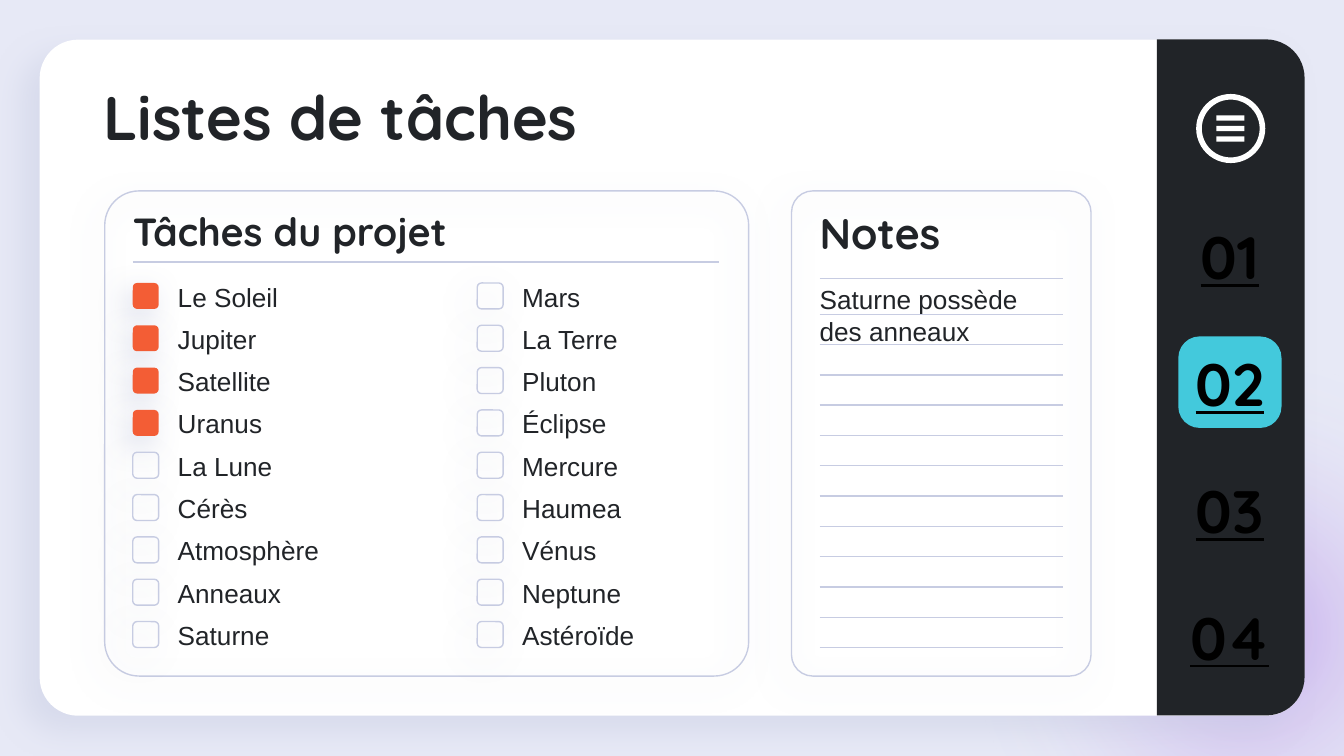
from dataclasses import dataclass
from pptx import Presentation
from pptx.dml.color import RGBColor
from pptx.enum.shapes import MSO_CONNECTOR, MSO_SHAPE
from pptx.enum.text import MSO_ANCHOR, MSO_AUTO_SIZE, PP_ALIGN
from pptx.oxml import parse_xml
from pptx.oxml.ns import nsdecls, qn
from pptx.util import Cm, Pt

TITLE = "Listes de tâches"
TASKS_HEADING = "Tâches du projet"
TASK_COLUMNS = [
    dict(x=2.51, width=5.36, done=4, tasks=[
        "Le Soleil", "Jupiter", "Satellite", "Uranus", "La Lune",
        "Cérès", "Atmosphère", "Anneaux", "Saturne"]),
    dict(x=9.02, width=3.99, done=0, tasks=[
        "Mars", "La Terre", "Pluton", "Éclipse", "Mercure",
        "Haumea", "Vénus", "Neptune", "Astéroïde"]),
]
MEMO_HEADING = "Notes"
MEMO = "Saturne possède des anneaux"
NAV = ["01", "02", "03", "04"]
CURRENT = "02"


@dataclass(frozen=True)
class Theme:
    page: str = "E7E9F6"
    card: str = "FFFFFF"
    ink: str = "212428"
    rule: str = "C7CCE2"
    done: str = "F35D35"
    current: str = "43C9DC"
    nav: str = "000000"
    glow: str = "A264E3"
    heading: str = "Quicksand"
    body: str = "Arial"
    title_size: float = 33
    tasks_size: float = 21
    memo_size: float = 23
    body_size: float = 14
    nav_size: float = 32


T = Theme()
PANEL_SHADOW = (63, 15.8, 6, 128)
CARD_SHADOW = (47, 16.9, 12, 137)


def rgb(value):
    return RGBColor.from_string(value)


def add_text(shapes, text, x, y, w, h, size, font=T.body, color=T.ink, bold=False,
             underline=False, align=PP_ALIGN.LEFT, anchor=MSO_ANCHOR.TOP,
             left=0.25, bottom=0, grow=False):
    tf = shapes.add_textbox(Cm(x), Cm(y), Cm(w), Cm(h)).text_frame
    tf.word_wrap = True
    tf.auto_size = MSO_AUTO_SIZE.SHAPE_TO_FIT_TEXT if grow else MSO_AUTO_SIZE.NONE
    tf.vertical_anchor = anchor
    tf.margin_left, tf.margin_right = Cm(left), Cm(0.25)
    tf.margin_top, tf.margin_bottom = Cm(0), Cm(bottom)
    p = tf.paragraphs[0]
    p.alignment = align
    r = p.add_run()
    r.text = text
    r.font.name, r.font.size = font, Pt(size)
    r.font.bold, r.font.underline = bold, underline
    r.font.color.rgb = rgb(color)


def add_box(shapes, kind, x, y, w, h, fill=None, line=None, weight=0.75, adj=None, shadow=None):
    sp = shapes.add_shape(kind, Cm(x), Cm(y), Cm(w), Cm(h))
    if adj is not None:
        sp.adjustments[0] = adj
    if fill:
        sp.fill.solid()
        sp.fill.fore_color.rgb = rgb(fill)
    else:
        sp.fill.background()
    if line:
        sp.line.color.rgb = rgb(line)
        sp.line.width = Pt(weight)
    else:
        sp.line.fill.background()
    sp.shadow.inherit = False
    if shadow:
        alpha, blur, dist, angle = shadow
        sp._element.spPr.find(qn("a:effectLst")).append(parse_xml(
            f'<a:outerShdw {nsdecls("a")} blurRad="{Pt(blur)}" dist="{Pt(dist)}" '
            f'dir="{angle * 60000}" algn="bl" rotWithShape="0"><a:srgbClr val="{T.rule}">'
            f'<a:alpha val="{alpha * 1000}"/></a:srgbClr></a:outerShdw>'))
    return sp


def add_glow(shapes, x, y, size):
    sp = add_box(shapes, MSO_SHAPE.OVAL, x, y, size, size)
    stops = "".join(
        f'<a:gs pos="{pos * 1000}"><a:srgbClr val="{color}"><a:alpha val="{alpha * 1000}"/>'
        f'</a:srgbClr></a:gs>'
        for pos, color, alpha in [(0, T.glow, 49), (62, T.page, 0), (100, T.card, 0)])
    spPr = sp._element.spPr
    spPr.replace(spPr.find(qn("a:noFill")), parse_xml(
        f'<a:gradFill {nsdecls("a")} rotWithShape="1"><a:gsLst>{stops}</a:gsLst>'
        '<a:path path="circle"><a:fillToRect l="50000" t="50000" r="50000" b="50000"/>'
        '</a:path></a:gradFill>'))


def add_rule(shapes, x, y, w):
    line = shapes.add_connector(MSO_CONNECTOR.STRAIGHT, Cm(x), Cm(y), Cm(x + w), Cm(y))
    line.line.color.rgb = rgb(T.rule)
    line.line.width = Pt(0.75)
    line._element.spPr.append(parse_xml(f'<a:effectLst {nsdecls("a")}/>'))


def add_frame(shapes):
    add_glow(shapes, 17.6, 6.05, 11.84)
    add_box(shapes, MSO_SHAPE.ROUNDED_RECTANGLE, 0.75, 0.75, 23.9, 12.78,
            fill=T.card, adj=0.057, shadow=CARD_SHADOW)
    bar = add_box(shapes, MSO_SHAPE.ROUND_2_SAME_RECTANGLE, 16.87, 5.74, 12.78, 2.79,
                  fill=T.ink, adj=0.261)
    bar.rotation = 90
    add_text(shapes, TITLE, 1.7, 1.5, 18.92, 1.32, T.title_size,
             font=T.heading, bold=True, bottom=0.25)


def add_menu(shapes):
    menu = shapes.add_group_shape().shapes
    add_box(menu, MSO_SHAPE.OVAL, 22.66, 1.83, 1.2, 1.2, line=T.card, weight=3)
    for i in range(3):
        add_box(menu, MSO_SHAPE.RECTANGLE, 22.99, 2.18 + i * 0.2, 0.53, 0.1, fill=T.card)


def add_nav(shapes):
    for i, label in enumerate(NAV):
        y = 4.14 + i * 2.4
        if label == CURRENT:
            add_box(shapes, MSO_SHAPE.ROUNDED_RECTANGLE, 22.27, y - 0.18, 1.95, 1.73,
                    fill=T.current, adj=0.234)
        add_text(shapes, label, 22.23, y, 2.03, 1.37, T.nav_size, font=T.heading,
                 color=T.nav, bold=True, underline=True, align=PP_ALIGN.CENTER,
                 anchor=MSO_ANCHOR.MIDDLE, grow=True)


def add_panel(shapes, x, w):
    add_box(shapes, MSO_SHAPE.ROUNDED_RECTANGLE, x, 3.61, w, 9.17,
            line=T.rule, adj=0.071, shadow=PANEL_SHADOW)


def add_tasks(shapes):
    add_panel(shapes, 1.98, 12.17)
    add_text(shapes, TASKS_HEADING, 2.51, 3.91, 11.07, 0.97, T.tasks_size,
             font=T.heading, bold=True, left=0)
    add_rule(shapes, 2.51, 4.95, 11.07)
    for column in TASK_COLUMNS:
        for i, task in enumerate(column["tasks"]):
            x, y = column["x"], 5.35 + i * 0.8
            done = i < column["done"]
            row = shapes.add_group_shape().shapes
            add_text(row, task, x + 0.6, y - 0.04, column["width"], 0.61,
                     T.body_size, grow=True)
            add_box(row, MSO_SHAPE.ROUNDED_RECTANGLE, x, y, 0.49, 0.49,
                    fill=T.done if done else None, line=None if done else T.rule,
                    adj=0.167, shadow=PANEL_SHADOW)


def add_memo(shapes):
    x, w = 15.49, 4.6
    first, last, gaps = 5.94, 12.24, 11
    add_panel(shapes, 14.96, 5.66)
    add_text(shapes, MEMO_HEADING, x, 3.91, 5.13, 0.97, T.memo_size,
             font=T.heading, bold=True, left=0)
    add_text(shapes, MEMO, x, 5.36, w, 1.19, T.body_size, left=0)
    add_rule(shapes, x, 5.26, w)
    for i in range(gaps + 1):
        add_rule(shapes, x, first + i * (last - first) / gaps, w)


def main():
    prs = Presentation()
    prs.slide_width, prs.slide_height = Cm(25.4), Cm(14.29)
    s = prs.slides.add_slide(prs.slide_layouts[6])
    s.background.fill.solid()
    s.background.fill.fore_color.rgb = rgb(T.page)
    for draw in (add_frame, add_menu, add_tasks, add_memo, add_nav):
        draw(s.shapes)
    prs.save("out.pptx")


if __name__ == "__main__":
    main()
